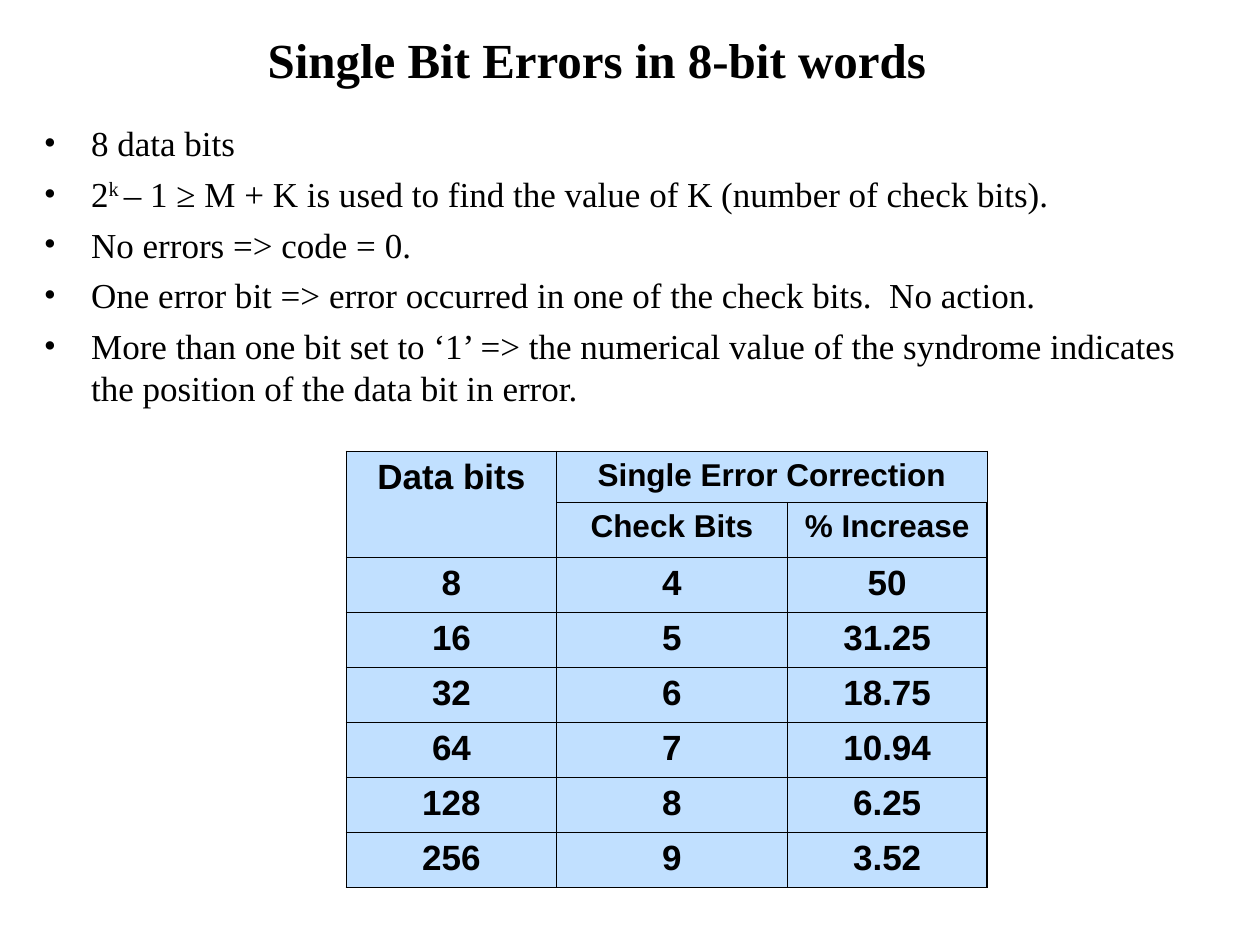
from lxml.etree import SubElement
from pptx import Presentation
from pptx.dml.color import RGBColor
from pptx.enum.text import MSO_ANCHOR, PP_ALIGN
from pptx.oxml.ns import qn
from pptx.util import Pt

COLORS = {"ink": "000000", "cell": "99CCFF"}
SERIF, SANS = "Times New Roman", "Arial"
THIN, THICK = 0.45, 1.08


class SlideBuilder:
    def __init__(self, presentation):
        self.slide = presentation.slides.add_slide(presentation.slide_layouts[6])

    def style(self, paragraph, name, size, bold=False):
        font = paragraph.font
        font.name, font.size, font.bold = name, Pt(size), bold
        font.color.rgb = RGBColor.from_string(COLORS["ink"])

    def text_frame(self, left, top, width, height):
        shape = self.slide.shapes.add_textbox(Pt(left), Pt(top), Pt(width), Pt(height))
        shape.text_frame.word_wrap = True
        return shape.text_frame

    def title(self, text, *box):
        frame = self.text_frame(*box)
        frame.vertical_anchor = MSO_ANCHOR.BOTTOM
        paragraph = frame.paragraphs[0]
        paragraph.text = text
        paragraph.alignment = PP_ALIGN.CENTER
        self.style(paragraph, SERIF, 28, True)

    def bullets(self, items, *box):
        frame = self.text_frame(*box)
        for index, pieces in enumerate(items):
            paragraph = frame.add_paragraph() if index else frame.paragraphs[0]
            properties = paragraph._p.get_or_add_pPr()
            properties.set("marL", str(Pt(27)))
            properties.set("indent", str(Pt(-27)))
            color = SubElement(properties, qn("a:buClr"))
            SubElement(color, qn("a:srgbClr"), val=COLORS["ink"])
            SubElement(properties, qn("a:buFont"), typeface=SERIF)
            SubElement(properties, qn("a:buChar"), char="•")
            if index:
                paragraph.space_before = Pt(5)
            self.style(paragraph, SERIF, 20)
            for text, baseline in pieces:
                run = paragraph.add_run()
                run.text = text
                if baseline:
                    run.font._element.set("baseline", str(baseline * 1000))

    def border(self, cell, side, width):
        line = SubElement(cell._tc.get_or_add_tcPr(), qn(f"a:ln{side}"), w=str(Pt(width)))
        fill = SubElement(line, qn("a:solidFill"))
        SubElement(fill, qn("a:srgbClr"), val=COLORS["ink"])

    def cell(self, cell, text, size, widths):
        for side, width in widths.items():
            self.border(cell, side, width)
        cell.fill.solid()
        cell.fill.fore_color.rgb = RGBColor.from_string(COLORS["cell"])
        color = cell._tc.tcPr.find(f"{qn('a:solidFill')}/{qn('a:srgbClr')}")
        SubElement(color, qn("a:alpha"), val="60000")
        paragraph = cell.text_frame.paragraphs[0]
        paragraph.text = text
        paragraph.alignment = PP_ALIGN.CENTER
        self.style(paragraph, SANS, size, True)

    def table(self, rows, left, top, column_widths, row_heights):
        last_row, last_column = len(rows) - 1, len(column_widths) - 1
        table = self.slide.shapes.add_table(
            len(rows), len(column_widths), Pt(left), Pt(top),
            Pt(sum(column_widths)), Pt(sum(row_heights))).table
        for column, width in zip(table.columns, column_widths):
            column.width = Pt(width)
        for row, height in zip(table.rows, row_heights):
            row.height = Pt(height)
        for r, row in enumerate(rows):
            for c, text in enumerate(row):
                edges = {"L": c == 0, "R": c == last_column, "T": r == 0, "B": r == last_row}
                widths = {side: THICK if outer else THIN for side, outer in edges.items()}
                self.cell(table.cell(r, c), text, 18 if r < 2 and c else 20, widths)
                for margin in ("margin_left", "margin_right"):
                    setattr(table.cell(r, c), margin, Pt(7.2))
        table.cell(0, 0).merge(table.cell(1, 0))
        table.cell(0, 1).merge(table.cell(0, 2))


def main():
    presentation = Presentation()
    presentation.slide_width, presentation.slide_height = Pt(720), Pt(540)
    builder = SlideBuilder(presentation)
    builder.title("Single Bit Errors in 8-bit words", 18, 18, 646, 36)
    builder.bullets([
        [("8 data bits", 0)],
        [("2", 0), ("k ", 30),
         ("– 1 ≥ M + K is used to find the value of K (number of check bits).", 0)],
        [("No errors => code = 0.", 0)],
        [("One error bit => error occurred in one of the check bits.  No action.", 0)],
        [("More than one bit set to ‘1’ => the numerical value of the syndrome "
          "indicates the position of the data bit in error.", 0)],
    ], 18, 66, 678, 180)
    check_bits = [
        ("8", "4", "50"),
        ("16", "5", "31.25"),
        ("32", "6", "18.75"),
        ("64", "7", "10.94"),
        ("128", "8", "6.25"),
        ("256", "9", "3.52"),
    ]
    headings = [("Data bits", "Single Error Correction", ""), ("", "Check Bits", "% Increase")]
    builder.table(headings + check_bits, 198, 258, [120, 132, 114], [29] + [31.44] * 7)
    presentation.save("out.pptx")


if __name__ == "__main__":
    main()
